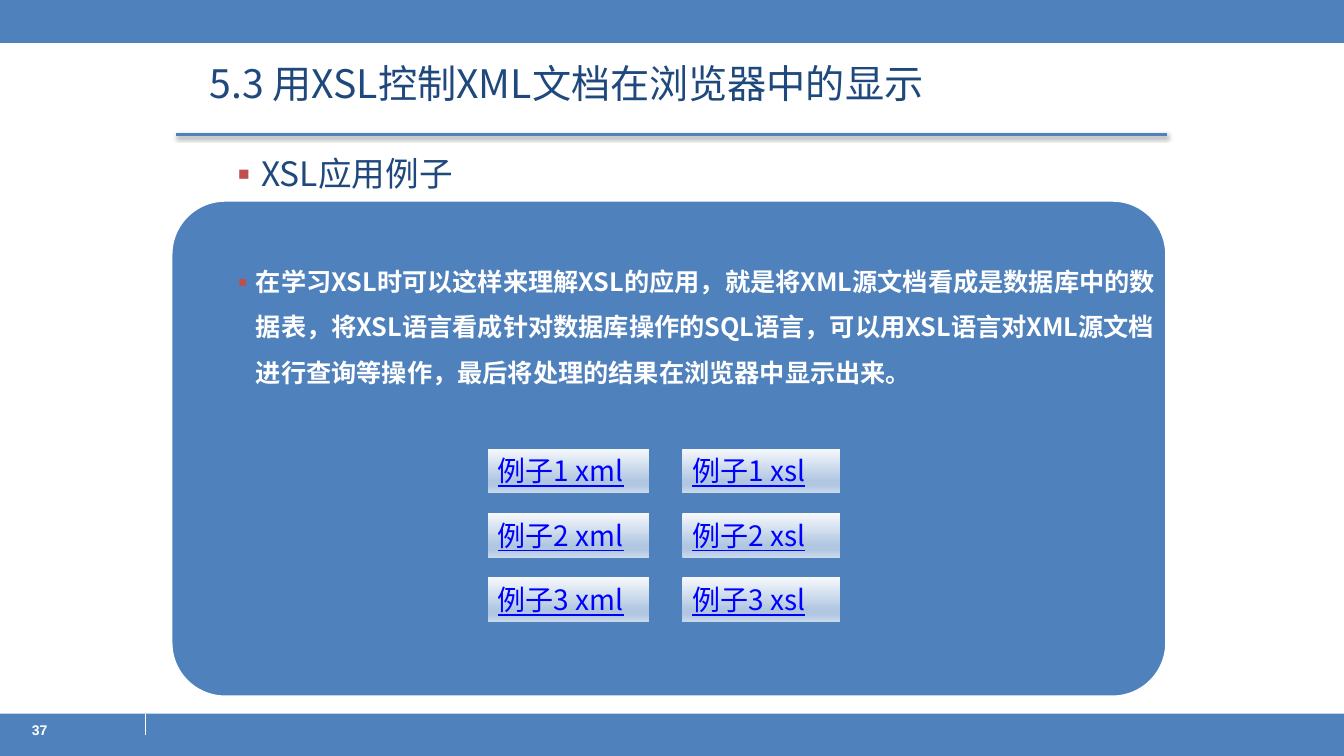
from dataclasses import dataclass

from lxml import etree
from pptx import Presentation
from pptx.dml.color import RGBColor
from pptx.enum.shapes import MSO_CONNECTOR, MSO_SHAPE
from pptx.enum.text import MSO_ANCHOR, PP_ALIGN
from pptx.oxml import parse_xml
from pptx.oxml.ns import nsdecls, qn
from pptx.util import Pt

RECTANGLE = MSO_SHAPE.RECTANGLE
ROUNDED = MSO_SHAPE.ROUNDED_RECTANGLE
STRAIGHT = MSO_CONNECTOR.STRAIGHT
TOP, MIDDLE = MSO_ANCHOR.TOP, MSO_ANCHOR.MIDDLE
LEFT = PP_ALIGN.LEFT


@dataclass(frozen=True)
class Theme:
    """Colours, fonts and type sizes of the slide."""

    blue: str = "4F81BD"
    navy: str = "1F497D"
    red: str = "C0504D"
    white: str = "FFFFFF"
    link: str = "0000FF"
    black: str = "000000"
    button_stops: tuple = ((0, "F6F9FC"), (74, "B0C6E1"), (83, "B0C6E1"), (100, "CAD9EB"))
    font: str = "Noto Sans CJK SC"
    number_font: str = "Arial"
    title_size: float = 28
    heading_size: float = 24
    button_size: float = 20
    body_size: float = 18
    number_size: float = 10


class SlideBuilder:
    """Draws styled elements on the current slide."""

    def __init__(self, slide, theme):
        """Keep the slide and its theme."""
        self.slide = slide
        self.theme = theme

    def background(self, colour):
        """Fill the slide background."""
        fill = self.slide.background.fill
        fill.solid()
        fill.fore_color.rgb = RGBColor.from_string(colour)

    def block(self, kind, box, line_colour, line_width):
        """Add a blue preset shape with an outline."""
        shape = self.slide.shapes.add_shape(kind, *map(Pt, box))
        shape.shadow.inherit = False
        shape.fill.solid()
        shape.fill.fore_color.rgb = RGBColor.from_string(self.theme.blue)
        shape.line.color.rgb = RGBColor.from_string(line_colour)
        shape.line.width = Pt(line_width)
        return shape

    def line(self, start, end, colour, width, shadowed=False):
        """Add a straight line, with a soft shadow below it if asked."""
        connector = self.slide.shapes.add_connector(STRAIGHT, *map(Pt, start + end))
        connector.line.color.rgb = RGBColor.from_string(colour)
        connector.line.width = Pt(width)
        properties = connector._element.spPr
        effects = etree.SubElement(properties, qn("a:effectLst"))
        if shadowed:
            effects.append(parse_xml(
                f'<a:outerShdw {nsdecls("a")} blurRad="{Pt(3.1)}" dist="{Pt(1.6)}"'
                f' dir="5400000" rotWithShape="0"><a:srgbClr val="{self.theme.black}">'
                '<a:alpha val="38000"/></a:srgbClr></a:outerShdw>'))

    def label(self, shape, text, size, colour, font=None, anchor=MIDDLE, spacing=None, **format_values):
        """Put one left-aligned paragraph into a shape."""
        frame = shape.text_frame
        frame.word_wrap = True
        frame.vertical_anchor = anchor
        paragraph = frame.paragraphs[0]
        paragraph.alignment = LEFT
        if spacing:
            paragraph.line_spacing = spacing
        run = paragraph.add_run()
        run.text = text
        typeface = font or self.theme.font
        values = {"size": Pt(size), "name": typeface, **format_values}
        for name, value in values.items():
            setattr(run.font, name, value)
        run.font.color.rgb = RGBColor.from_string(colour)
        etree.SubElement(run._r.get_or_add_rPr(), qn("a:ea"), typeface=typeface)
        return paragraph

    def text(self, box, text, size, colour, bulleted=False, **options):
        """Add a text box, with a square bullet if asked."""
        shape = self.slide.shapes.add_textbox(*map(Pt, box))
        paragraph = self.label(shape, text, size, colour, **options)
        if bulleted:
            properties = paragraph._p.get_or_add_pPr()
            properties.set("marL", str(Pt(18)))
            properties.set("indent", str(Pt(-18)))
            bullet_colour = etree.SubElement(properties, qn("a:buClr"))
            etree.SubElement(bullet_colour, qn("a:srgbClr"), val=self.theme.red)
            etree.SubElement(properties, qn("a:buFont"), typeface=self.theme.font)
            etree.SubElement(properties, qn("a:buChar"), char="▪")

    def button(self, box, caption):
        """Add a gradient button with an underlined caption."""
        shape = self.slide.shapes.add_shape(RECTANGLE, *map(Pt, box))
        shape.shadow.inherit = False
        shape.line.fill.background()
        shape.fill.background()
        stops = "".join(
            f'<a:gs pos="{position * 1000}"><a:srgbClr val="{colour}"/></a:gs>'
            for position, colour in self.theme.button_stops)
        properties = shape._element.spPr
        properties.replace(properties.find(qn("a:noFill")), parse_xml(
            f'<a:gradFill {nsdecls("a")} rotWithShape="1"><a:gsLst>{stops}</a:gsLst>'
            '<a:lin ang="5400000" scaled="0"/></a:gradFill>'))
        self.label(shape, caption, self.theme.button_size, self.theme.link, underline=True)


def main():
    """Build the slide and save it."""
    theme = Theme()
    presentation = Presentation()
    presentation.slide_width, presentation.slide_height = Pt(960), Pt(540)
    slide = presentation.slides.add_slide(presentation.slide_layouts[6])
    builder = SlideBuilder(slide, theme)

    builder.background(theme.white)
    for band_top in (0, 509.8):
        builder.block(RECTANGLE, (0, band_top, 960, 30.2), theme.blue, 0.25)
    builder.line((103.7, 509.8), (103.7, 524.9), theme.white, 0.75)
    builder.text((15.8, 511.9, 105.8, 25.2), "37", theme.number_size, theme.white,
                 font=theme.number_font, anchor=TOP, bold=True)

    builder.line((126, 95.8), (833.8, 95.8), theme.blue, 2, shadowed=True)
    builder.text((155.5, 103.7, 648.7, 39.6), "XSL应用例子",
                 theme.heading_size, theme.navy, bulleted=True)
    builder.text((142.6, 41.8, 649.4, 39.6), "5.3 用XSL控制XML文档在浏览器中的显示",
                 theme.title_size, theme.navy, spacing=0.9)

    panel = builder.block(ROUNDED, (121.7, 142.6, 712.1, 355.7), theme.white, 3)
    panel.adjustments[0] = 0.11
    builder.text(
        (157.7, 175.7, 674.6, 105.1),
        "在学习XSL时可以这样来理解XSL的应用，就是将XML源文档看成是数据库中的数据表，"
        "将XSL语言看成针对数据库操作的SQL语言，可以用XSL语言对XML源文档进行查询等操作，"
        "最后将处理的结果在浏览器中显示出来。",
        theme.body_size, theme.white, bulleted=True, anchor=TOP, spacing=Pt(32.5), bold=True)

    columns = (("xml", 348.5, 115.2), ("xsl", 487.4, 113))
    for row in range(3):
        for extension, left, width in columns:
            builder.button((left, 320.4 + 46 * row, width, 31.7), f"例子{row + 1} {extension}")

    presentation.save("out.pptx")


if __name__ == "__main__":
    main()
